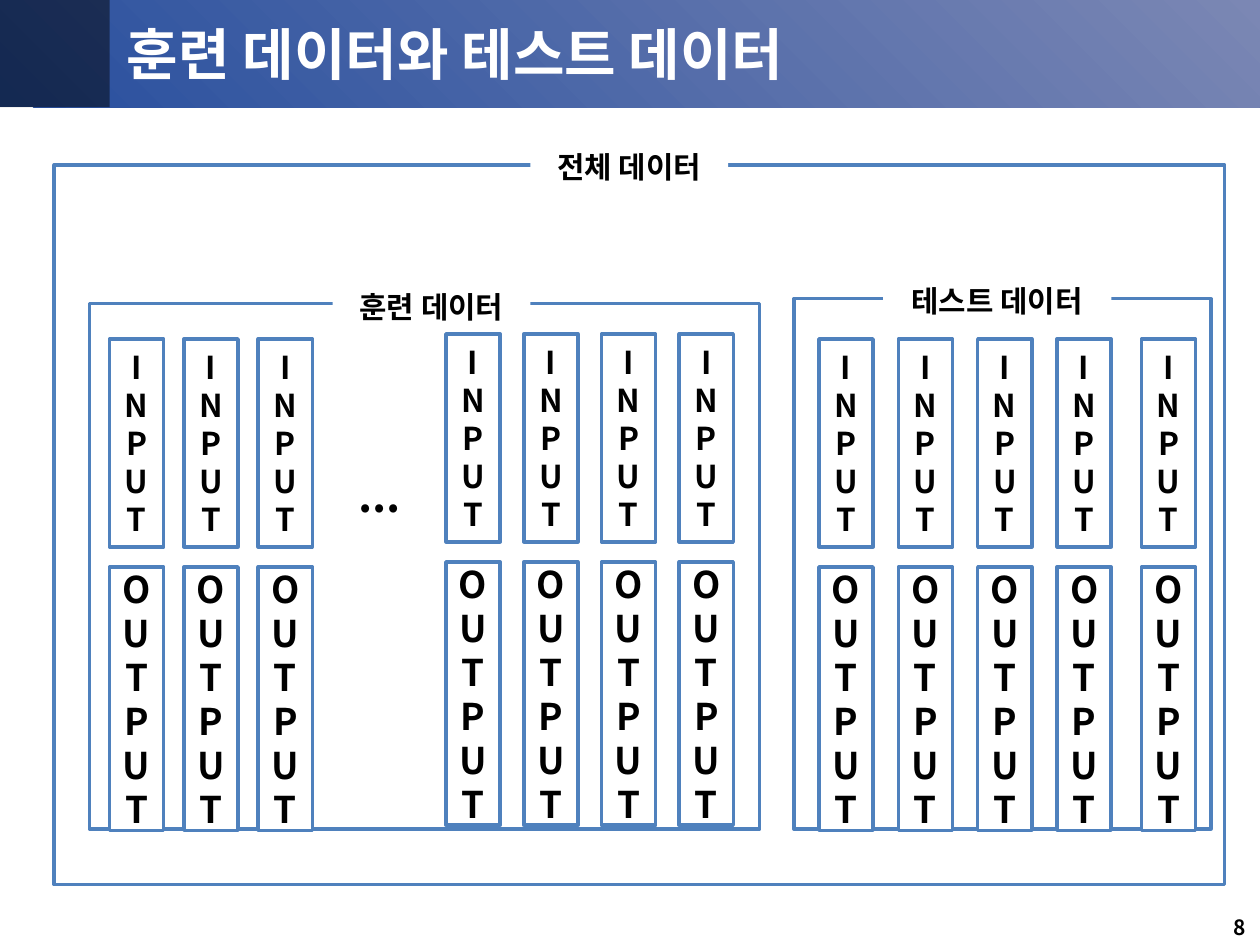
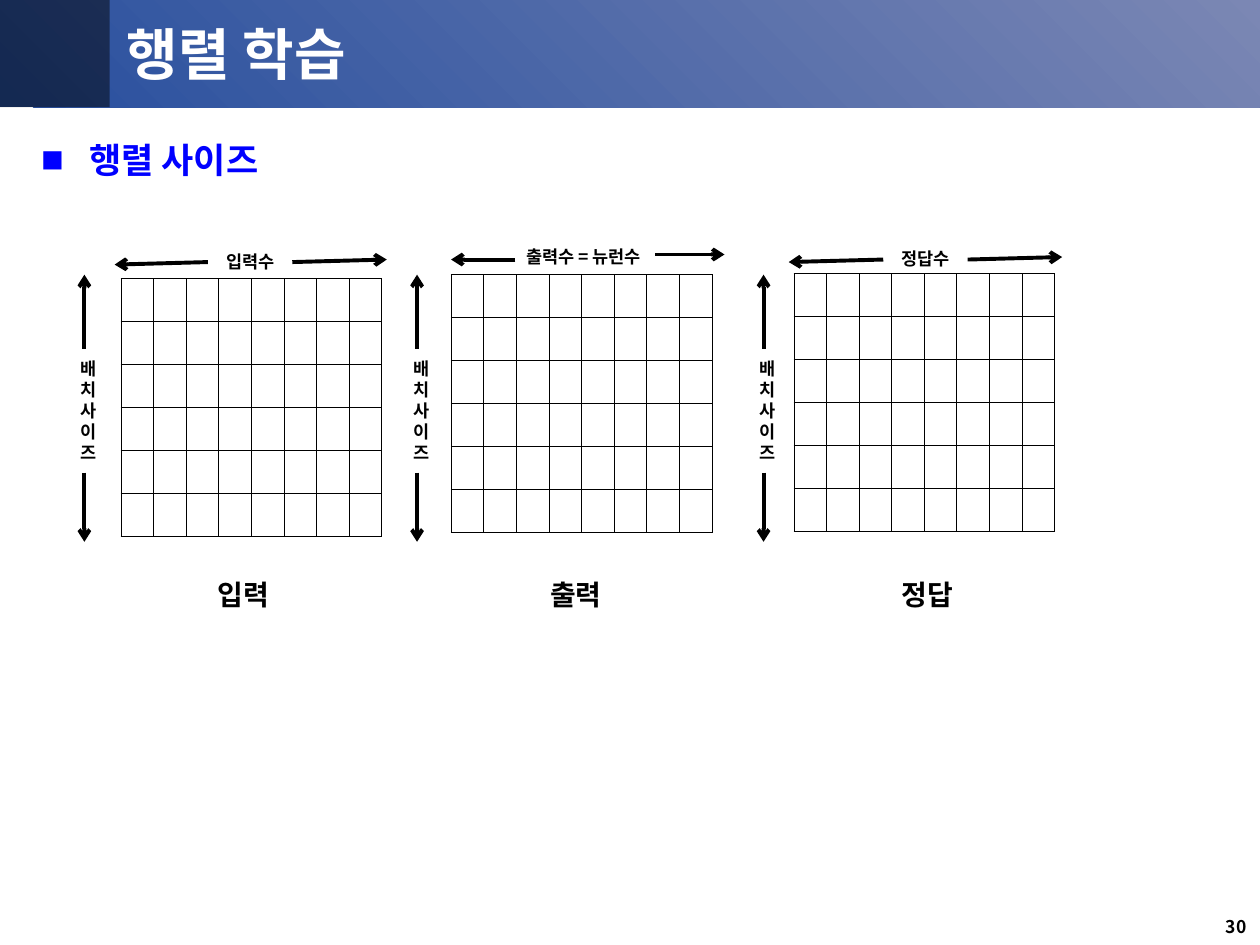
from dataclasses import dataclass

from lxml import etree
from pptx import Presentation
from pptx.dml.color import RGBColor
from pptx.enum.shapes import MSO_CONNECTOR, MSO_SHAPE
from pptx.enum.text import MSO_ANCHOR, PP_ALIGN
from pptx.oxml.ns import qn
from pptx.util import Emu, Inches, Pt

RECT, ROUNDED = MSO_SHAPE.RECTANGLE, MSO_SHAPE.ROUNDED_RECTANGLE
STRAIGHT = MSO_CONNECTOR.STRAIGHT
LEFT, CENTER, RIGHT = PP_ALIGN.LEFT, PP_ALIGN.CENTER, PP_ALIGN.RIGHT
TOP, MIDDLE = MSO_ANCHOR.TOP, MSO_ANCHOR.MIDDLE

# The slide is a grid of 100 columns by 75 rows of square units
SLIDE_W, SLIDE_H = Inches(10), Inches(7.5)
UNIT = SLIDE_W / 100


@dataclass(frozen=True)
class Theme:
    font: str = "Noto Sans CJK KR"
    band_start: str = "284F9E"
    band_end: str = "7B87B4"
    frame: str = "4F81BD"
    heading: str = "0000FF"
    ink: str = "000000"
    paper: str = "FFFFFF"
    title_size: int = 32
    heading_size: int = 20
    group_size: int = 17
    input_size: int = 18
    output_size: int = 21
    dots_size: int = 25
    name_size: int = 16
    small_size: int = 10


THEME = Theme()


@dataclass(frozen=True)
class Box:
    col: float
    row: float
    cols: float
    rows: float

    def emu(self) -> tuple[Emu, ...]:
        return tuple(units(v) for v in (self.col, self.row, self.cols, self.rows))


@dataclass(frozen=True)
class DataGroup:
    name: str
    frame: Box
    label: Box


@dataclass(frozen=True)
class RecordRun:
    first_col: float
    step: float
    count: int
    row: float


@dataclass(frozen=True)
class Arrow:
    col: float
    row: float
    to_col: float
    to_row: float


@dataclass(frozen=True)
class Matrix:
    name: str
    name_col: float
    grid_col: float
    grid_row: float
    batch_col: float
    width_label: str
    width_box: Box
    width_arrows: tuple[Arrow, Arrow]


WHOLE = DataGroup("전체 데이터", Box(4.3, 13.1, 92.9, 57.1), Box(42.1, 9.9, 15.7, 6.7))
TRAINING = DataGroup("훈련 데이터", Box(7.1, 24.1, 53.2, 41.7), Box(26.4, 19, 15.7, 10.6))
TEST = DataGroup("테스트 데이터", Box(63, 23.7, 33.1, 42.1), Box(70.1, 18.6, 18.1, 10.6))

RECORD_RUNS = (
    RecordRun(8.7, 5.9, 3, 26.9),
    RecordRun(35.4, 6.17, 4, 26.5),
    RecordRun(65, 6.3, 4, 26.9),
    RecordRun(90.6, 0, 1, 26.9),
)

MATRICES = (
    Matrix("입력", 12.2, 9.6, 22.1, 6.7, "입력수", Box(16.5, 19, 6.7, 3.5),
           (Arrow(16.5, 20.8, 9.1, 21), Arrow(23.2, 20.8, 30.7, 20.6))),
    Matrix("출력", 38.6, 35.8, 21.8, 33.1, "출력수 = 뉴런수", Box(38.6, 18.6, 15.4, 3.5),
           (Arrow(40.9, 20.6, 35.8, 20.6), Arrow(52, 20.2, 57.5, 20.2))),
    Matrix("정답", 66.5, 63, 21.7, 60.6, "정답수", Box(70.1, 18.8, 6.7, 3.5),
           (Arrow(70.1, 20.6, 62.6, 20.8), Arrow(76.8, 20.6, 84.3, 20.4))),
)


def units(count: float) -> Emu:
    return Emu(round(count * UNIT))


def color(value: str) -> RGBColor:
    return RGBColor.from_string(value)


def write(shape, text: str, *, size: float, ink: str = THEME.ink, align=CENTER,
          anchor=MIDDLE, insets=(0, 0, 0, 0), pitch: float = 0, bullet: str = "") -> None:
    """Fill a shape with bold text; insets are left, top, right, bottom in grid units."""
    frame = shape.text_frame
    frame.word_wrap = True
    frame.vertical_anchor = anchor
    (frame.margin_left, frame.margin_top,
     frame.margin_right, frame.margin_bottom) = map(units, insets)
    for index, line in enumerate(text.split("\n")):
        paragraph = frame.add_paragraph() if index else frame.paragraphs[0]
        paragraph.alignment = align
        if pitch:
            paragraph.line_spacing = Pt(pitch * size)
        if bullet:
            add_bullet(paragraph, bullet)
        run = paragraph.add_run()
        run.text = line
        run.font.name = THEME.font
        run.font.size = Pt(size)
        run.font.bold = True
        run.font.color.rgb = color(ink)
        east_asian = etree.SubElement(run.font._element, qn("a:ea"))
        east_asian.set("typeface", THEME.font)


def add_bullet(paragraph, mark: str) -> None:
    properties = paragraph._p.get_or_add_pPr()
    properties.set("marL", str(units(3.8)))
    properties.set("indent", str(-units(3.8)))
    for tag, key, value in (("a:buSzPct", "val", "65000"),
                            ("a:buFont", "typeface", THEME.font),
                            ("a:buChar", "char", mark)):
        etree.SubElement(properties, qn(tag)).set(key, value)


def panel(slide, box: Box, *, kind=RECT, fill: str = THEME.paper, outline: str = ""):
    shape = slide.shapes.add_shape(kind, *box.emu())
    shape.shadow.inherit = False
    shape.fill.solid()
    shape.fill.fore_color.rgb = color(fill)
    if outline:
        shape.line.color.rgb = color(outline)
        shape.line.width = Pt(2)
    else:
        shape.line.fill.background()
    return shape


def text_box(slide, box: Box):
    return slide.shapes.add_textbox(*box.emu())


def draw_arrow(slide, arrow: Arrow) -> None:
    ends = (arrow.col, arrow.row, arrow.to_col, arrow.to_row)
    connector = slide.shapes.add_connector(STRAIGHT, *map(units, ends))
    connector.line.color.rgb = color(THEME.ink)
    connector.line.width = Pt(2.25)
    properties = connector.element.spPr
    etree.SubElement(properties.find(qn("a:ln")), qn("a:tailEnd")).set("type", "arrow")
    etree.SubElement(properties, qn("a:effectLst"))


def new_slide(deck, title: str, number: int, number_size: float):
    """Add a slide with the title band and the page number."""
    slide = deck.slides.add_slide(deck.slide_layouts[6])
    band = panel(slide, Box(0, -0.1, 100, 8.6))
    band.fill.gradient()
    band.fill.gradient_angle = 45
    for stop, tone in zip(band.fill.gradient_stops, (THEME.band_start, THEME.band_end)):
        stop.color.rgb = color(tone)
    corner = panel(slide, Box(0, -0.1, 8.7, 8.6), fill=THEME.ink)
    tint = corner.element.spPr.find(qn("a:solidFill"))[0]
    etree.SubElement(tint, qn("a:alpha")).set("val", "48000")
    write(text_box(slide, Box(9.1, 1.4, 88.3, 5.6)), title, size=THEME.title_size,
          ink=THEME.paper, align=LEFT, insets=(1, 0.5, 1, 0.5))
    write(text_box(slide, Box(76.6, 72.1, 23.3, 2.9)), str(number), size=number_size,
          align=RIGHT, insets=(1, 0.5, 1, 0.5))
    return slide


def draw_groups(slide, *groups: DataGroup) -> None:
    """Frames first, then the labels that interrupt their top edges."""
    for group in groups:
        panel(slide, group.frame, outline=THEME.frame)
    for group in groups:
        label = panel(slide, group.label, kind=ROUNDED)
        write(label, group.name, size=THEME.group_size)


def draw_records(slide, run: RecordRun) -> None:
    parts = (("INPUT", 0, 16.5, THEME.input_size),
             ("OUTPUT", 18.1, 20.9, THEME.output_size))
    for index in range(run.count):
        col = run.first_col + index * run.step
        for word, offset, rows, size in parts:
            record = panel(slide, Box(col, run.row + offset, 4.3, rows), outline=THEME.frame)
            write(record, "\n".join(word), size=size, pitch=1.2)


def draw_grid(slide, matrix: Matrix, columns: int = 8, rows: int = 6) -> None:
    box = Box(matrix.grid_col, matrix.grid_row, 20.7, 20.5)
    table = slide.shapes.add_table(rows, columns, *box.emu()).table
    table.first_row = table.horz_banding = False
    for column in table.columns:
        column.width = units(box.cols / columns)
    for row in table.rows:
        row.height = units(box.rows / rows)
    for cell in table.iter_cells():
        cell.margin_top = cell.margin_bottom = 0
        properties = cell._tc.get_or_add_tcPr()
        for side in ("a:lnL", "a:lnR", "a:lnT", "a:lnB"):
            border = etree.SubElement(properties, qn(side))
            border.set("w", str(Pt(0.33)))
            solid = etree.SubElement(border, qn("a:solidFill"))
            etree.SubElement(solid, qn("a:srgbClr")).set("val", THEME.ink)
        cell.fill.background()


def draw_matrix(slide, matrix: Matrix) -> None:
    draw_grid(slide, matrix)
    write(panel(slide, Box(matrix.name_col, 44.6, 14.2, 5.1)), matrix.name,
          size=THEME.name_size)
    # Batch size down the left side
    axis, label_top, label_bottom = matrix.batch_col, 27.7, 37.5
    batch = text_box(slide, Box(axis - 1.2, label_top, 2.4, label_bottom - label_top))
    write(batch, "배치사이즈", size=THEME.small_size, pitch=1.2, insets=(0.7, 0, 0, 0))
    draw_arrow(slide, Arrow(axis, label_top, axis, 21.8))
    draw_arrow(slide, Arrow(axis, label_bottom, axis, 43))
    # Number of columns along the top
    write(text_box(slide, matrix.width_box), matrix.width_label, size=THEME.small_size)
    for arrow in matrix.width_arrows:
        draw_arrow(slide, arrow)


def build_data_split(deck) -> None:
    slide = new_slide(deck, "훈련 데이터와 테스트 데이터", 8, 12)
    draw_groups(slide, WHOLE)
    draw_groups(slide, TRAINING, TEST)
    for run in RECORD_RUNS:
        draw_records(slide, run)
    write(panel(slide, Box(26, 33.2, 8.3, 22)), "...", size=THEME.dots_size,
          anchor=TOP, insets=(0, 4, 0, 0))


def build_matrix_sizes(deck) -> None:
    slide = new_slide(deck, "행렬 학습", 30, 10)
    write(text_box(slide, Box(2.3, 10.9, 94.1, 59.4)), "행렬 사이즈",
          size=THEME.heading_size, ink=THEME.heading, align=LEFT, anchor=TOP,
          insets=(1, 0.1, 1, 0.5), bullet="■")
    for matrix in MATRICES:
        draw_matrix(slide, matrix)


def main() -> None:
    deck = Presentation()
    deck.slide_width, deck.slide_height = SLIDE_W, SLIDE_H
    build_data_split(deck)
    build_matrix_sizes(deck)
    deck.save("out.pptx")


if __name__ == "__main__":
    main()
